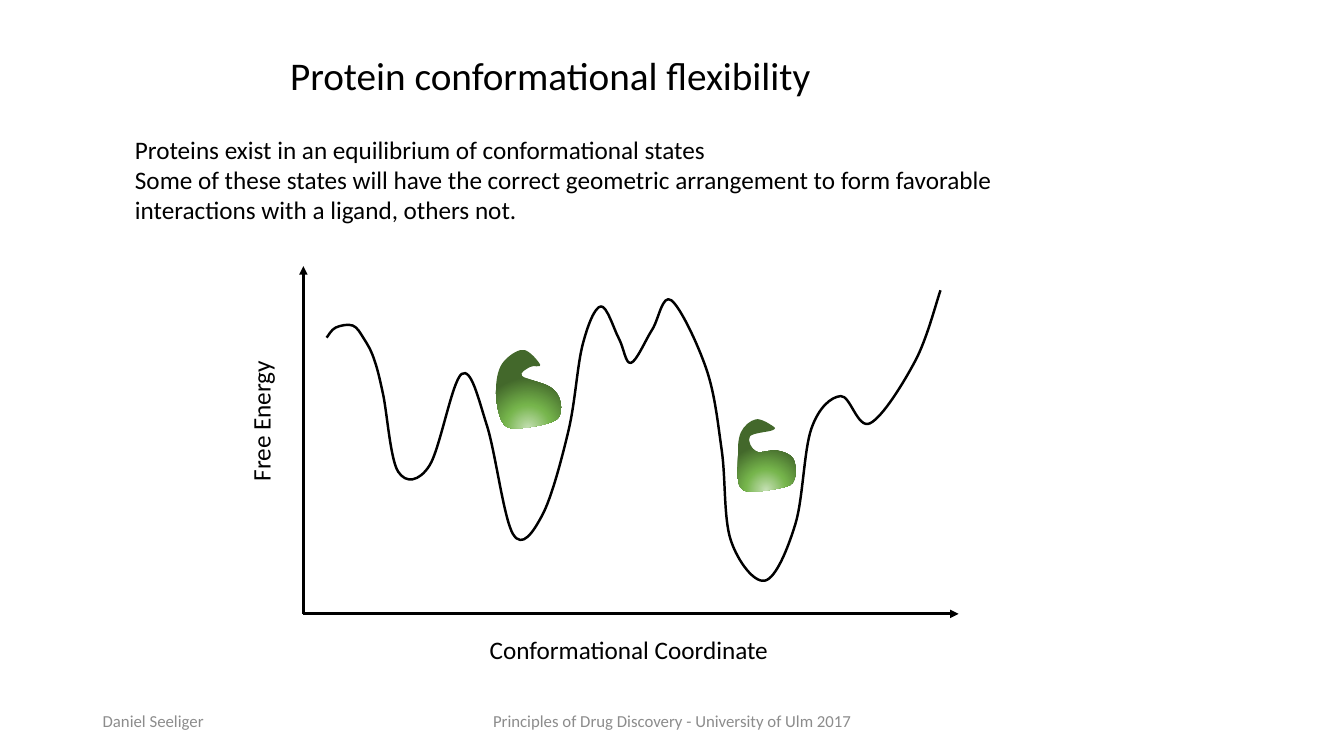
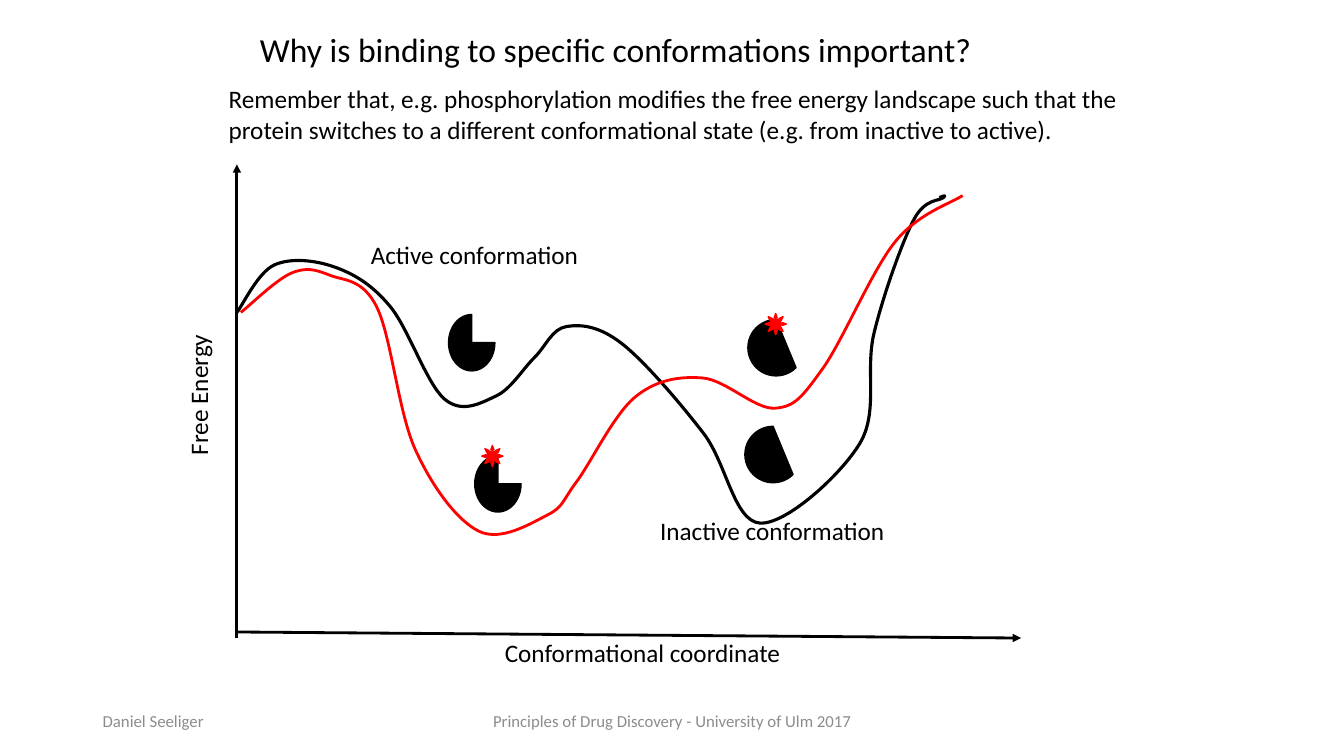
from pptx import Presentation
from pptx import util as u
from pptx.dml import color as dml
from pptx.enum import shapes, text
from pptx.oxml import parse_xml
from pptx.oxml import ns
from lxml import etree

# Shared look; the slide is a grid of cells a tenth of an inch wide and high
CELL = u.Inches(0.1)
COLUMNS, ROWS = 133.33, 75
FONT = "Calibri"
COLORS = {
    "ink": "000000", "signal": "FF0000", "footer": "8C8C8C",
    "leaf_light": "C5E0B4", "leaf": "76B54C", "leaf_dark": "43682B",
}
BODY_SIZE, FOOTER_SIZE = 18, 12
AXIS_WIDTH = 2
FOOTER_TOP, FOOTER_HEIGHT = 69.5, 4
LABEL_HEIGHT = 4

# Anchors that the smooth curves run through, in columns and rows
ROUGH_LANDSCAPE = [
    (32.4, 33.5), (33.3, 32.5), (35, 32.3), (36.1, 33.6), (37.1, 35.6),
    (38, 39.1), (39.5, 46.8), (42.6, 46.2), (45.8, 37.1), (48.3, 42.2),
    (50.9, 53), (53.8, 51.1), (56.4, 42.7), (57.8, 34.2), (59.6, 30.4),
    (61.4, 33.6), (62.6, 36), (64.7, 32.7), (66.6, 29.8), (70.1, 36.7),
    (71.6, 44.7), (72.5, 53.6), (75.9, 57.6), (78.9, 52), (80.5, 42.5),
    (83.4, 39.3), (86.3, 42), (90.8, 35.8), (93.3, 28.8),
]
CLOSED_PROTEIN = [
    (76.7, 42.3), (75, 41.6), (73.5, 42.9), (73.2, 45.6), (73.7, 48.6),
    (77.5, 48.4), (78.8, 47.6), (78.7, 45.5), (77.1, 44.7), (75, 44.8),
    (74.4, 43.3), (76.6, 42.7), (76.7, 42.3),
]
OPEN_PROTEIN = [
    (53.6, 36.2), (51.9, 34.7), (49.8, 36.1), (49.2, 38.8), (49.8, 41.8),
    (51.3, 42.5), (55.1, 41.7), (55.6, 39.9), (54.6, 38.4), (51.8, 37.3),
    (52.6, 36.4), (53.6, 36.2),
]
NATIVE_LANDSCAPE = [
    (23.5, 31), (27.2, 26.3), (33.2, 26.5), (38.7, 30.4), (44.1, 39.6),
    (49.2, 39.3), (53, 35.5), (56.2, 32.4), (61.7, 34.1), (69.8, 43),
    (75.4, 51.9), (85.3, 44), (86.7, 33.1), (90.6, 21.9), (93.6, 19.6),
    (93.2, 19.6),
]
MODIFIED_LANDSCAPE = [
    (23.9, 31), (28.9, 27.1), (32.7, 27.3), (37.4, 30.5), (41.2, 44.6),
    (47.5, 52.7), (54.3, 51.1), (57.2, 47.8), (63, 39.4), (69.7, 37.5),
    (76.9, 40.5), (81.6, 36.6), (88.8, 24), (95.5, 19.4),
]


def cells(*counts):
    return [u.Emu(round(count * CELL)) for count in counts]


def rgb(name):
    return dml.RGBColor.from_string(COLORS[name])


# Text
def add_text(page, area, lines, size=BODY_SIZE, wrap=False, color="ink",
             align=text.PP_ALIGN.LEFT, anchor=text.MSO_ANCHOR.TOP, rotation=0):
    box = page.shapes.add_textbox(*cells(*area))
    box.rotation = rotation
    frame = box.text_frame
    frame.word_wrap = wrap
    frame.vertical_anchor = anchor
    frame.text = "\n".join(lines)
    for para in frame.paragraphs:
        para.alignment = align
        para.font.name = FONT
        para.font.size = u.Pt(size)
        para.font.color.rgb = rgb(color)


def add_footer(page, left, width, line, align):
    add_text(page, (left, FOOTER_TOP, width, FOOTER_HEIGHT), [line], FOOTER_SIZE,
             True, "footer", align, text.MSO_ANCHOR.MIDDLE)


def add_page(deck):
    page = deck.slides.add_slide(deck.slide_layouts[6])
    add_footer(page, 9.2, 30, "Daniel Seeliger", text.PP_ALIGN.LEFT)
    add_footer(page, 44.2, 45, "Principles of Drug Discovery - University of Ulm 2017",
               text.PP_ALIGN.CENTER)
    return page


# Axes
def add_axis(page, start, end):
    axis = page.shapes.add_connector(shapes.MSO_CONNECTOR.STRAIGHT, *cells(*start, *end))
    axis.line.color.rgb = rgb("ink")
    axis.line.width = u.Pt(AXIS_WIDTH)
    etree.SubElement(axis.line._get_or_add_ln(), ns.qn("a:tailEnd"), type="triangle")
    etree.SubElement(axis._element.spPr, ns.qn("a:effectLst"))


# Smooth outlines
def add_curve(page, anchors, closed=False):
    points = [cells(*anchor) for anchor in anchors]
    builder = page.shapes.build_freeform(*points[0])
    builder.add_line_segments(points[1:], close=closed)
    curve = builder.convert_to_shape()
    curve.shadow.inherit = False
    bend_segments(curve, closed)
    return curve


def bend_segments(curve, closed):
    """Turn the straight segments into a spline through the same anchors."""
    nodes = list(curve._element.iter(ns.qn("a:pt")))
    points = [(int(node.get("x")), int(node.get("y"))) for node in nodes]
    before, after = (points[-2], points[1]) if closed else (points[0], points[-1])
    padded = [before, *points, after]
    segments = list(curve._element.iter(ns.qn("a:lnTo")))
    for segment, a, b, c, d in zip(segments, padded, padded[1:], padded[2:], padded[3:]):
        leaving = [q + (r - p) / 6 for p, q, r in zip(a, b, c)]
        arriving = [r - (s - q) / 6 for q, r, s in zip(b, c, d)]
        bend = etree.Element(ns.qn("a:cubicBezTo"))
        for x, y in (leaving, arriving, c):
            etree.SubElement(bend, ns.qn("a:pt"), x=str(round(x)), y=str(round(y)))
        segment.getparent().replace(segment, bend)


def add_landscape(page, anchors, color, width):
    curve = add_curve(page, anchors)
    curve.fill.background()
    curve.line.color.rgb = rgb(color)
    curve.line.width = u.Pt(width)


def add_protein(page, anchors):
    protein = add_curve(page, anchors, closed=True)
    protein.line.fill.background()
    stops = "".join(
        f'<a:gs pos="{share * 1000}"><a:srgbClr val="{COLORS[name]}"/></a:gs>'
        for share, name in ((0, "leaf_light"), (46, "leaf"), (100, "leaf_dark")))
    glow = parse_xml(
        f'<a:gradFill {ns.nsdecls("a")}><a:gsLst>{stops}</a:gsLst><a:path path="circle">'
        '<a:fillToRect l="50000" t="130000" r="50000" b="-30000"/></a:path></a:gradFill>')
    protein._element.spPr.find(ns.qn("a:custGeom")).addnext(glow)


# Preset symbols
def add_symbol(page, kind, left, top, width, height, color="ink"):
    symbol = page.shapes.add_shape(kind, *cells(left, top, width, height))
    symbol.shadow.inherit = False
    symbol.fill.solid()
    symbol.fill.fore_color.rgb = rgb(color)
    symbol.line.color.rgb = rgb(color)
    symbol.line.width = u.Pt(1)


# Slides
def flexibility_page(deck):
    page = add_page(deck)
    add_text(page, (27.8, 4.6, 54.2, 5.7), ["Protein conformational flexibility"], 28)
    add_text(page, (12.4, 12.8, 98.1, 10.1), [
        "Proteins exist in an equilibrium of conformational states",
        "Some of these states will have the correct geometric arrangement to form "
        "favorable interactions with a ligand, others not.",
    ], wrap=True)
    origin = (30.1, 60.9)
    add_axis(page, origin, (30.1, 26.4))
    add_axis(page, origin, (95.1, 60.9))
    add_landscape(page, ROUGH_LANDSCAPE, "ink", 1.75)
    add_text(page, (18.8, 39.7, 14.1, LABEL_HEIGHT), ["Free Energy"], rotation=270)
    add_text(page, (47.6, 62.4, 30, LABEL_HEIGHT), ["Conformational Coordinate"])
    for outline in (CLOSED_PROTEIN, OPEN_PROTEIN):
        add_protein(page, outline)


def binding_page(deck):
    page = add_page(deck)
    add_text(page, (24.8, 2.4, 73.2, 5),
             ["Why is binding to specific conformations important?"], 24)
    add_text(page, (21.7, 7.8, 94.9, 7.1), [
        "Remember that, e.g. phosphorylation modifies the free energy landscape such "
        "that the protein switches to a different conformational state (e.g. from "
        "inactive to active).",
    ], wrap=True)
    add_landscape(page, NATIVE_LANDSCAPE, "ink", 2.25)
    add_axis(page, (23.5, 63.3), (23.5, 16.3))
    add_axis(page, (23.5, 62.7), (101.3, 63.3))
    add_landscape(page, MODIFIED_LANDSCAPE, "signal", 2)
    add_text(page, (12.6, 37.1, 14.1, LABEL_HEIGHT), ["Free Energy"], rotation=270)
    for left, top, width, label in (
            (49.1, 62.7, 29.7, "Conformational coordinate"),
            (35.8, 23.3, 22.8, "Active conformation"),
            (64.5, 50.6, 24.6, "Inactive conformation")):
        add_text(page, (left, top, width, LABEL_HEIGHT), [label])

    # Active and inactive proteins, then their phosphate marks
    kinds = shapes.MSO_SHAPE
    for left, top in ((44.5, 31.2), (47.1, 45.2)):
        add_symbol(page, kinds.PIE, left, top, 4.6, 5.6)
    for left, top in ((73.9, 42.3), (74.2, 31.7)):
        add_symbol(page, kinds.CHORD, left, top, 5.6, 5.6)
    for left, top in ((75.9, 31.1), (47.8, 44.2)):
        add_symbol(page, kinds.SUN, left, top, 2.1, 2.1, "signal")


def main():
    deck = Presentation()
    deck.slide_width, deck.slide_height = cells(COLUMNS, ROWS)
    flexibility_page(deck)
    binding_page(deck)
    deck.save("out.pptx")


if __name__ == "__main__":
    main()
